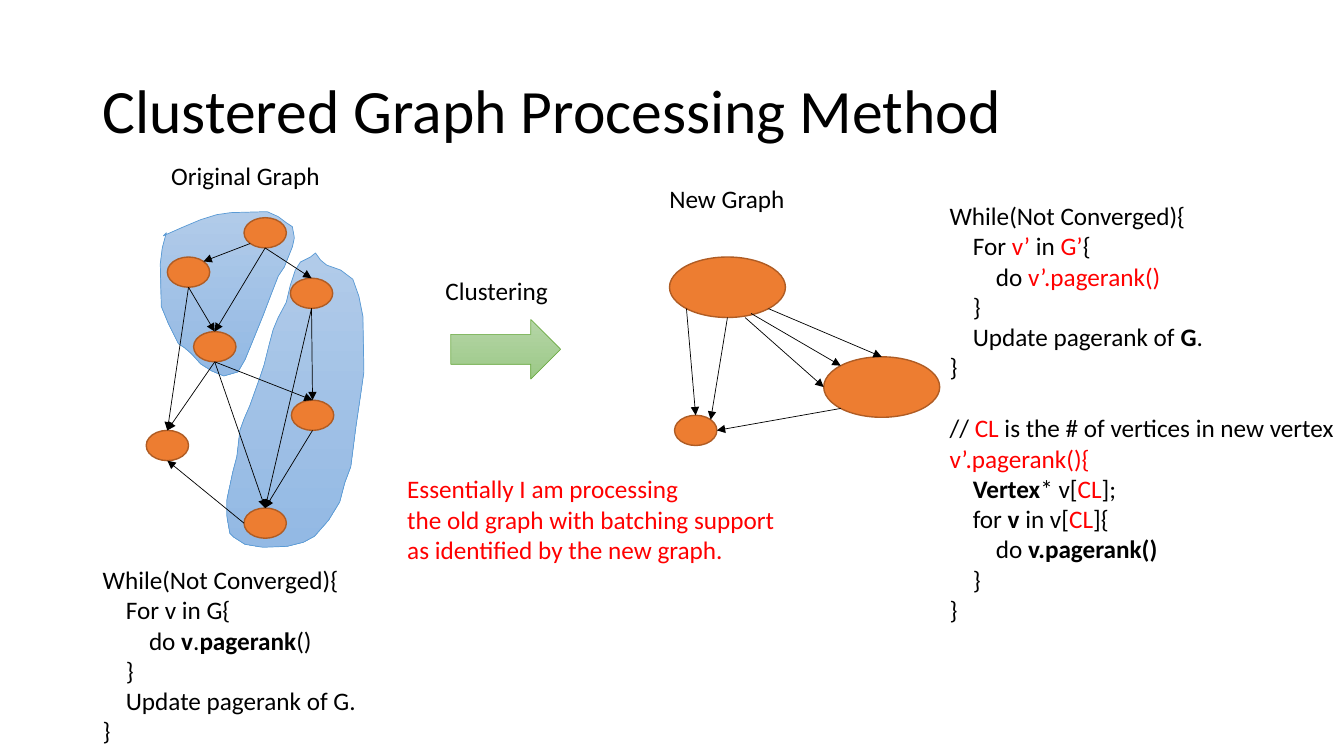
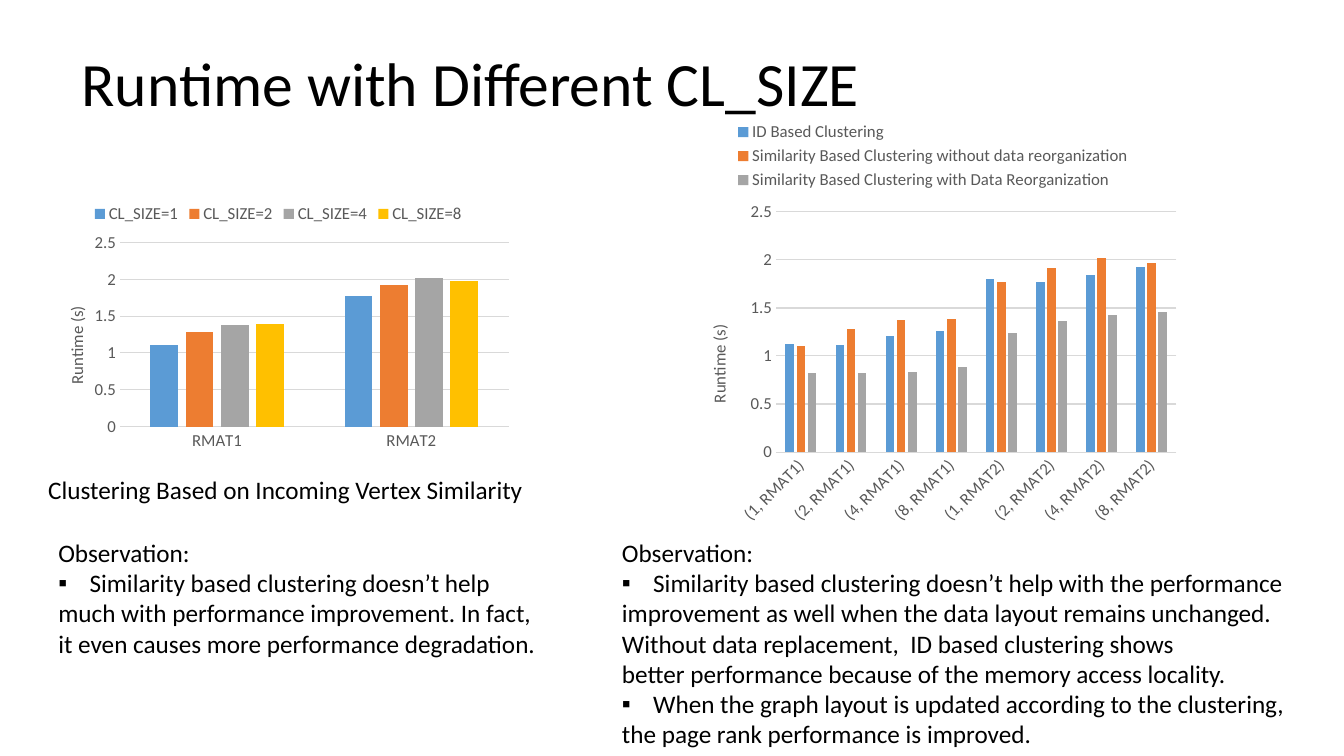
from collections import namedtuple
from math import cos, radians, sin

from pptx import Presentation
from pptx.chart.data import CategoryChartData
from pptx.dml.color import RGBColor
from pptx.enum.chart import XL_CHART_TYPE as CT, XL_LEGEND_POSITION as LP, XL_TICK_MARK as TM
from pptx.enum.shapes import MSO_CONNECTOR as MC, MSO_SHAPE as SH
from pptx.enum.text import MSO_ANCHOR as MA, MSO_AUTO_SIZE as AS
from pptx.oxml.ns import qn
from pptx.oxml.xmlchemy import OxmlElement
from pptx.util import Inches, Pt

FONT = "Calibri"
COLORS = {
    "text": "000000", "red": "FF0000", "node": "ED7D31", "node_line": "AF5C24",
    "blob_top": "B1CBE9", "blob_bottom": "93B9E4", "blob_line": "5B9BD5",
    "arrow_top": "B5D5A7", "arrow_bottom": "9CC987", "arrow_line": "70AD47",
    "label": "595959", "grid": "D9D9D9",
}
SERIES_COLORS = ["5B9BD5", "ED7D31", "A5A5A5", "FFC000"]
SITE_ANGLES = {"right": 0, "bottom_right": 45, "bottom": 90, "bottom_left": 135,
               "left": 180, "top_left": 225, "top": 270, "top_right": 315}
CODE_INDENT = 0.23
BULLET_INDENT = 0.31
NODE = (0.42, 0.3)
CLUSTER = (1.15, 0.6)

Line = namedtuple("Line", "runs level bullet gap")

UPPER_BLOB = [
    (0.2, 0.21), (0.16, 0.36), (0.14, 0.52), (0.15, 0.94), (0.22, 1.11), (0.32, 1.31),
    (0.38, 1.35), (0.45, 1.41), (0.54, 1.51), (0.65, 1.58), (0.77, 1.63), (0.91, 1.59),
    (0.98, 1.47), (1.05, 1.3), (1.16, 1.03), (1.24, 0.82), (1.31, 0.64), (1.37, 0.55),
    (1.45, 0.35), (1.47, 0.26), (1.45, 0.15), (1.39, 0.11), (1.31, 0.05), (1.2, 0),
    (0.84, 0.01), (0.7, 0.03), (0.54, 0.08), (0.35, 0.16), (0.17, 0.24),
]
LOWER_BLOB = [
    (1.68, 0.41), (1.63, 0.45), (1.53, 0.5), (1.48, 0.58), (1.43, 0.73), (1.39, 0.9),
    (1.31, 1.05), (1.26, 1.17), (1.22, 1.32), (1.17, 1.52), (1.13, 1.64), (1.08, 1.78),
    (1.03, 1.92), (0.97, 2.06), (0.93, 2.17), (0.9, 2.43), (0.86, 2.58), (0.8, 2.86),
    (0.8, 3.02), (0.83, 3.19), (0.87, 3.23), (0.98, 3.3), (1.16, 3.33), (1.4, 3.32),
    (1.56, 3.28), (1.67, 3.22), (1.81, 3.06), (1.92, 2.88), (1.97, 2.69), (2.03, 2.53),
    (2.08, 2.14), (2.13, 1.8), (2.16, 1.59), (2.15, 1.04), (2.11, 0.84), (2.05, 0.67),
    (1.93, 0.58), (1.79, 0.53), (1.73, 0.48),
]
OLD_NODES = {
    "a": (0.97, 0.06, *NODE), "b": (0.21, 0.45, *NODE), "c": (0.47, 1.19, *NODE),
    "d": (1.43, 0.66, *NODE), "e": (1.44, 1.87, *NODE), "f": (0, 2.17, *NODE),
    "g": (0.97, 2.94, *NODE),
}
OLD_EDGES = [
    ("a", "bottom_left", "b", "top_right"), ("a", "bottom", "d", "top"),
    ("b", "bottom", "c", "top"), ("d", "bottom", "e", "top"),
    ("c", "bottom", "e", "top"), ("d", "bottom", "g", "top"),
    ("a", "bottom", "c", "top"), ("c", "bottom", "f", "top"),
    ("c", "bottom", "g", "top"), ("e", "bottom", "g", "top"),
    ("g", "left", "f", "bottom"), ("b", "bottom", "f", "top"),
]
NEW_NODES = {"abc": (0, 0, *CLUSTER), "deg": (1.53, 0.99, *CLUSTER), "f": (0.05, 1.57, *NODE)}
NEW_EDGES = [
    ("abc", "bottom_left", "f", "top"), ("abc", "bottom", "f", "top_right"),
    ("abc", "bottom_right", "deg", "top"), ("deg", "bottom_left", "f", "right"),
    ("abc", (0.81, 0.56), "deg", "top_left"), ("abc", (0.75, 0.6), "deg", "left"),
]


def rgb(value):
    """Turn a hex string into a colour."""
    return RGBColor.from_string(value)


def style_font(font, size, color):
    """Apply the shared typeface with a size and a colour."""
    font.name, font.size = FONT, Pt(size)
    font.color.rgb = rgb(color)


def style_shape(sp, name, width):
    """Give a shape the flat or gradient fill and the outline of its kind."""
    sp.shadow.inherit = False
    if name in COLORS:
        sp.fill.solid()
        sp.fill.fore_color.rgb = rgb(COLORS[name])
    else:
        sp.fill.gradient()
        sp.fill.gradient_angle = 270
        for stop, end in zip(sp.fill.gradient_stops, ("top", "bottom")):
            stop.color.rgb = rgb(COLORS[f"{name}_{end}"])
    sp.line.color.rgb = rgb(COLORS[f"{name}_line"])
    sp.line.width = Pt(width)


def line(*runs, level=0, bullet=False, gap=0):
    """Describe one line of text; a run is a string or a (text, flags) pair."""
    return Line([(r, "") if isinstance(r, str) else r for r in runs], level, bullet, gap)


def add_text(s, box, lines, size=18):
    """Place a text box of described lines; flag b is bold and r is red."""
    sp = s.shapes.add_textbox(*map(Inches, box))
    tf = sp.text_frame
    tf.word_wrap = False
    tf.auto_size = AS.SHAPE_TO_FIT_TEXT
    for i, item in enumerate(lines):
        p = tf.add_paragraph() if i else tf.paragraphs[0]
        p.space_before = Pt(item.gap)
        pr = p._p.get_or_add_pPr()
        if item.level:
            pr.set("marL", str(Inches(item.level * CODE_INDENT)))
        if item.bullet:
            pr.set("marL", str(Inches(BULLET_INDENT)))
            pr.set("indent", str(-Inches(BULLET_INDENT)))
            for tag, key, value in (("a:buFont", "typeface", "Arial"), ("a:buChar", "char", "▪")):
                mark = OxmlElement(tag)
                mark.set(key, value)
                pr.append(mark)
        for text, flags in item.runs:
            r = p.add_run()
            r.text = text
            style_font(r.font, size, COLORS["red" if "r" in flags else "text"])
            r.font.bold = "b" in flags
    return tf


def add_title(s, left, top, text):
    """Place the slide title in its wide band."""
    tf = add_text(s, (left, top, 11.5, 1.45), [line(text)], 44)
    tf.auto_size = AS.NONE
    tf.word_wrap = True
    tf.vertical_anchor = MA.MIDDLE
    tf.paragraphs[0].line_spacing = 0.9


def add_blob(s, left, top, points):
    """Draw a cluster outline through points relative to the graph corner."""
    pts = [(Inches(left + x), Inches(top + y)) for x, y in points]
    fb = s.shapes.build_freeform(*pts[0], scale=1.0)
    fb.add_line_segments(pts[1:], close=True)
    style_shape(fb.convert_to_shape(), "blob", 0.5)


def site(node, where):
    """Return the point of an ellipse at a named site; pass points through."""
    if isinstance(where, tuple):
        return where
    x, y, w, h = node
    angle = radians(SITE_ANGLES[where])
    return x + w / 2 * (1 + cos(angle)), y + h / 2 * (1 + sin(angle))


def add_edge(s, start, end):
    """Draw a thin arrow between two points."""
    cn = s.shapes.add_connector(MC.STRAIGHT, *map(Inches, (*start, *end)))
    cn.line.color.rgb = rgb(COLORS["text"])
    cn.line.width = Pt(0.5)
    head = OxmlElement("a:tailEnd")
    head.set("type", "triangle")
    cn.line._get_or_add_ln().append(head)
    cn._element.spPr.append(OxmlElement("a:effectLst"))


def add_graph(s, left, top, nodes, edges, blobs=()):
    """Draw a directed graph with its corner at left, top."""
    for points in blobs:
        add_blob(s, left, top, points)
    for x, y, w, h in nodes.values():
        kind = SH.FLOWCHART_CONNECTOR if (w, h) == CLUSTER else SH.OVAL
        sp = s.shapes.add_shape(kind, *map(Inches, (left + x, top + y, w, h)))
        style_shape(sp, "node", 1)
    for src, out, dst, into in edges:
        ends = (site(nodes[src], out), site(nodes[dst], into))
        add_edge(s, *((left + x, top + y) for x, y in ends))


def set_layout(parent, index, **values):
    """Fix the place of a chart part as fractions of the chart."""
    for old in parent.findall(qn("c:layout")):
        parent.remove(old)
    layout, manual = OxmlElement("c:layout"), OxmlElement("c:manualLayout")
    layout.append(manual)
    for key, value in values.items():
        item = OxmlElement(f"c:{key}")
        item.set("val", str(value))
        manual.append(item)
    parent.insert(index, layout)


def add_runtime_chart(s, box, cats, series, plot_box, title_at, label_angle=0):
    """Place a clustered column chart of runtimes."""
    data = CategoryChartData()
    data.categories = cats
    for name, values in series.items():
        data.add_series(name, values)
    chart = s.shapes.add_chart(CT.COLUMN_CLUSTERED, *map(Inches, box), data).chart
    style_font(chart.font, 12, COLORS["label"])
    chart.has_title = False
    chart.has_legend = True
    chart.legend.position = LP.TOP
    chart.legend.include_in_layout = False
    style_font(chart.legend.font, 12, COLORS["label"])
    plot = chart.plots[0]
    plot.vary_by_categories = False
    plot.gap_width, plot.overlap = 219, -27
    for ser, color in zip(plot.series, SERIES_COLORS):
        ser.format.fill.solid()
        ser.format.fill.fore_color.rgb = rgb(color)
    ca, va = chart.category_axis, chart.value_axis
    for axis in (ca, va):
        axis.major_tick_mark = axis.minor_tick_mark = TM.NONE
        style_font(axis.tick_labels.font, 12, COLORS["label"])
    for fmt in (ca.format, va.major_gridlines.format):
        fmt.line.color.rgb = rgb(COLORS["grid"])
        fmt.line.width = Pt(0.75)
    va.format.line.fill.background()
    va.minimum_scale, va.maximum_scale, va.major_unit = 0, 2.5, 0.5
    ca._element.xpath("c:txPr/a:bodyPr")[0].set("rot", str(-label_angle * 60000))
    tf = va.axis_title.text_frame
    r = tf.paragraphs[0].add_run()
    r.text = "Runtime (s)"
    style_font(r.font, 12, COLORS["label"])
    r.font.bold = False
    tf._txBody.bodyPr.set("rot", "-5400000")
    modes = {"xMode": "edge", "yMode": "edge"}
    set_layout(va.axis_title._element, 1, **modes, **dict(zip("xy", title_at)))
    set_layout(chart._chartSpace.xpath("c:chart/c:plotArea")[0], 0,
               layoutTarget="inner", **modes, **dict(zip("xywh", plot_box)))


def build_method_slide(s):
    """Show the clustering of a graph and the matching code."""
    add_title(s, 0.92, 0.4, "Clustered Graph Processing Method")
    add_graph(s, 1.45, 2.1, OLD_NODES, OLD_EDGES, (UPPER_BLOB, LOWER_BLOB))
    arrow = s.shapes.add_shape(SH.RIGHT_ARROW, *map(Inches, (4.47, 3.17, 1.09, 0.59)))
    style_shape(arrow, "arrow", 0.5)
    add_graph(s, 6.64, 2.55, NEW_NODES, NEW_EDGES)
    for text, box in (("Clustering", (4.32, 2.68, 1.23, 0.4)),
                      ("Original Graph", (1.6, 1.54, 1.69, 0.4)),
                      ("New Graph", (6.54, 1.77, 1.36, 0.4))):
        add_text(s, box, [line(text)])
    add_text(s, (3.94, 4.65, 3.95, 1.01), [line((text, "r")) for text in (
        "Essentially I am processing", "the old graph with batching support",
        "as identified by the new graph.")])
    add_text(s, (0.92, 5.55, 2.74, 2.22), [
        line("While(Not Converged){"),
        line("For v in G{", level=1),
        line("do ", ("v", "b"), ".", ("pagerank", "b"), "()", level=2),
        line("}", level=1),
        line("Update pagerank of G.", level=1),
        line("}")])
    add_text(s, (9.32, 1.94, 4.06, 4.34), [
        line("While(Not Converged){"),
        line("For ", ("v’", "r"), " in ", ("G’", "r"), "{", level=1),
        line("do ", ("v’.pagerank()", "r"), level=2),
        line("}", level=1),
        line("Update pagerank of ", ("G", "b"), ".", level=1),
        line("}"),
        line("// ", ("CL", "r"), " is the # of vertices in new vertex", gap=22),
        line(("v’.pagerank(){", "r")),
        line(("Vertex", "b"), "* v[", ("CL", "r"), "];", level=1),
        line("for ", ("v", "b"), " in v[", ("CL", "r"), "]{", level=1),
        line("do ", ("v.pagerank()", "b"), level=2),
        line("}", level=1),
        line("}")])


def build_runtime_slide(s):
    """Compare runtimes in two charts with observations."""
    add_title(s, 0.71, 0.13, "Runtime with Different CL_SIZE")
    add_runtime_chart(s, (0.38, 1.91, 4.76, 2.61), ["RMAT1", "RMAT2"], {
        "CL_SIZE=1": (1.1, 1.77), "CL_SIZE=2": (1.28, 1.92),
        "CL_SIZE=4": (1.38, 2.02), "CL_SIZE=8": (1.39, 1.97),
    }, (0.17, 0.19, 0.81, 0.7), (0.05, 0.42))
    add_text(s, (0.38, 4.66, 4.92, 0.4), [line("Clustering Based on Incoming Vertex Similarity")])
    add_text(s, (0.48, 5.28, 5.05, 1.31), [
        line("Observation:"),
        line("Similarity based clustering doesn’t help", bullet=True),
        line("much with performance improvement. In fact,"),
        line("it even causes more performance degradation.")])
    add_text(s, (6.07, 5.28, 6.91, 2.22), [
        line("Observation:"),
        line("Similarity based clustering doesn’t help with the performance", bullet=True),
        line("improvement as well when the data layout remains unchanged."),
        line("Without data replacement,  ID based clustering shows"),
        line("better performance because of the memory access locality."),
        line("When the graph layout is updated according to the clustering,", bullet=True),
        line("the page rank performance is improved.")])
    cats = [f"({size}, RMAT{n})" for n in (1, 2) for size in (1, 2, 4, 8)]
    add_runtime_chart(s, (6.74, 1.1, 5.03, 4.18), cats, {
        "ID Based Clustering": (1.12, 1.11, 1.21, 1.26, 1.8, 1.77, 1.84, 1.93),
        "Similarity Based Clustering without data reorganization":
            (1.1, 1.28, 1.38, 1.39, 1.77, 1.92, 2.02, 1.97),
        "Similarity Based Clustering with Data Reorganization":
            (0.82, 0.82, 0.83, 0.89, 1.24, 1.36, 1.43, 1.46),
    }, (0.19, 0.24, 0.79, 0.57), (0.05, 0.5), 45)


def main():
    """Build and save the presentation."""
    prs = Presentation()
    prs.slide_width, prs.slide_height = Inches(13.33), Inches(7.5)
    for build in (build_method_slide, build_runtime_slide):
        build(prs.slides.add_slide(prs.slide_layouts[6]))
    prs.save("out.pptx")


if __name__ == "__main__":
    main()
